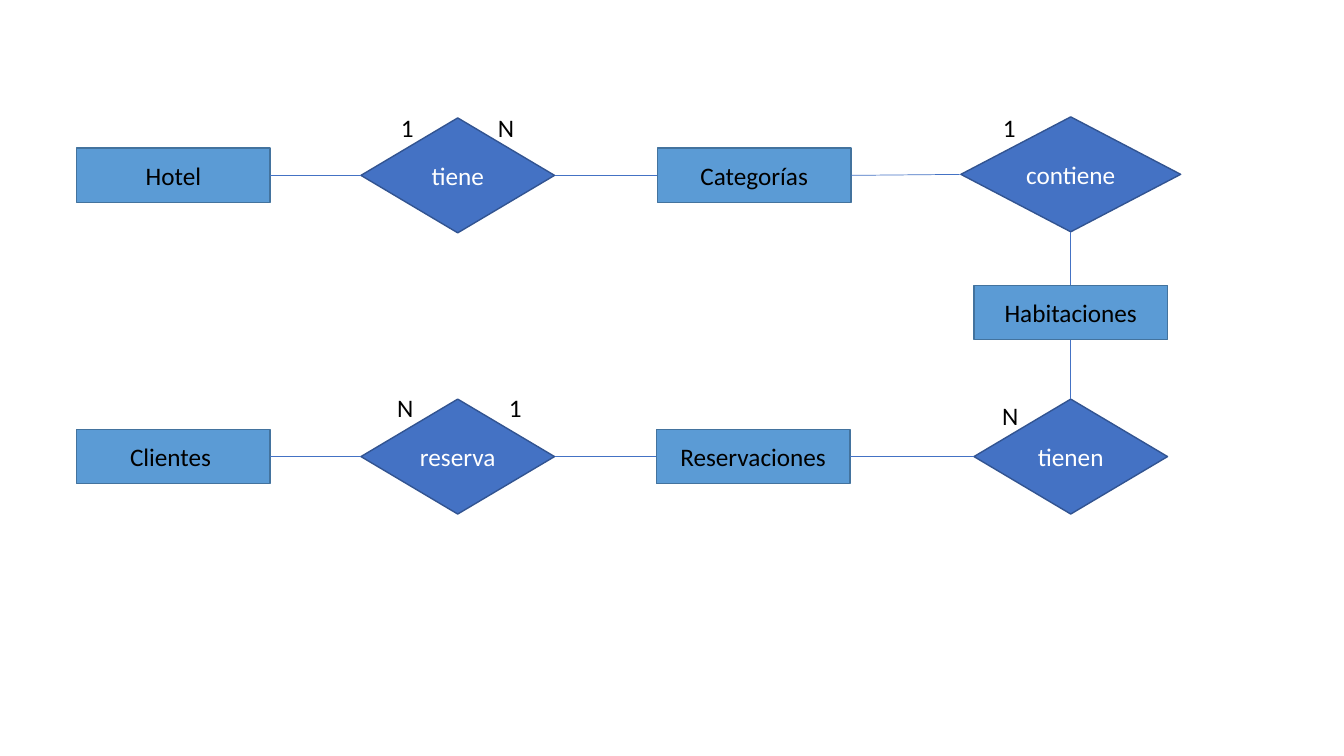
import pptx
import pptx.dml.color
import pptx.enum.shapes
import pptx.enum.text
import pptx.oxml
import pptx.util

Inches = pptx.util.Inches
Pt = pptx.util.Pt
RGB = pptx.dml.color.RGBColor.from_string
MSO_SHAPE = pptx.enum.shapes.MSO_SHAPE


class Theme:
    font = "Calibri"
    size = 18
    dark = "000000"
    light = "FFFFFF"
    entity_fill = "5B9BD5"
    entity_line = "43739E"
    relation_fill = "4472C4"
    relation_line = "325491"
    link = "4472C4"
    outline_width = 1
    link_width = 0.5


def write(sp, text, color=Theme.dark, size=Theme.size,
          anchor=pptx.enum.text.MSO_ANCHOR.MIDDLE):
    tf = sp.text_frame
    tf.word_wrap = True
    tf.vertical_anchor = anchor
    p = tf.paragraphs[0]
    p.alignment = pptx.enum.text.PP_ALIGN.CENTER
    r = p.add_run()
    r.text = text
    r.font.name = Theme.font
    r.font.size = Pt(size)
    r.font.color.rgb = RGB(color)


prs = pptx.Presentation()
prs.slide_width = Inches(13.33)
prs.slide_height = Inches(7.5)
slide = prs.slides.add_slide(prs.slide_layouts[6])

# Entities (rectangles) and relations (diamonds): text, left, top, width
entity_height, relation_height = 0.54, 1.14
entities = [
    ("Hotel", 0.76, 1.47, 1.92),
    ("Categorías", 6.52, 1.47, 1.92),
    ("Clientes ", 0.76, 4.26, 1.92),
    ("Habitaciones", 9.66, 2.83, 1.92),
    ("Reservaciones", 6.51, 4.26, 1.92),
]
relations = [
    ("tiene", 3.58, 1.17, 1.92),
    ("reserva", 3.58, 3.96, 1.92),
    ("tienen", 9.66, 3.96, 1.92),
    ("contiene", 9.53, 1.16, 2.18),
]
kinds = [
    (entities, MSO_SHAPE.RECTANGLE, entity_height,
     Theme.entity_fill, Theme.entity_line, Theme.dark),
    (relations, MSO_SHAPE.FLOWCHART_DECISION, relation_height,
     Theme.relation_fill, Theme.relation_line, Theme.light),
]
nodes = {}
for items, preset, height, fill, line, color in kinds:
    for text, left, top, width in items:
        sp = slide.shapes.add_shape(preset, Inches(left), Inches(top),
                                    Inches(width), Inches(height))
        sp.shadow.inherit = False
        sp.fill.solid()
        sp.fill.fore_color.rgb = RGB(fill)
        sp.line.color.rgb = RGB(line)
        sp.line.width = Pt(Theme.outline_width)
        write(sp, text, color=color)
        nodes[text.strip()] = sp

# Cardinalities: text, left, top
cardinalities = [
    ("1", 3.76, 1.07),
    ("1", 9.73, 1.07),
    ("1", 4.83, 3.84),
    ("N", 3.74, 3.84),
    ("N", 9.74, 3.92),
    ("N", 4.74, 1.07),
]
for text, left, top in cardinalities:
    sp = slide.shapes.add_textbox(Inches(left), Inches(top),
                                  Inches(0.56), Inches(0.4))
    write(sp, text, anchor=pptx.enum.text.MSO_ANCHOR.TOP)
    sp.text_frame.auto_size = pptx.enum.text.MSO_AUTO_SIZE.SHAPE_TO_FIT_TEXT

# Links glued to the connection sites of the nodes
TOP, LEFT, BOTTOM, RIGHT = range(4)
links = [
    ("Hotel", RIGHT, "tiene", LEFT),
    ("tiene", RIGHT, "Categorías", LEFT),
    ("contiene", BOTTOM, "Habitaciones", TOP),
    ("Categorías", RIGHT, "contiene", LEFT),
    ("Clientes", RIGHT, "reserva", LEFT),
    ("reserva", RIGHT, "Reservaciones", LEFT),
    ("Reservaciones", RIGHT, "tienen", LEFT),
    ("Habitaciones", BOTTOM, "tienen", TOP),
]
for start, start_site, end, end_site in links:
    link = slide.shapes.add_connector(
        pptx.enum.shapes.MSO_CONNECTOR.STRAIGHT, 0, 0, 0, 0)
    link.begin_connect(nodes[start], start_site)
    link.end_connect(nodes[end], end_site)
    link.line.color.rgb = RGB(Theme.link)
    link.line.width = Pt(Theme.link_width)
    link._element.spPr.append(pptx.oxml.parse_xml(
        '<a:effectLst xmlns:a="http://schemas.openxmlformats.org/drawingml/2006/main"/>'))

prs.save("out.pptx")
